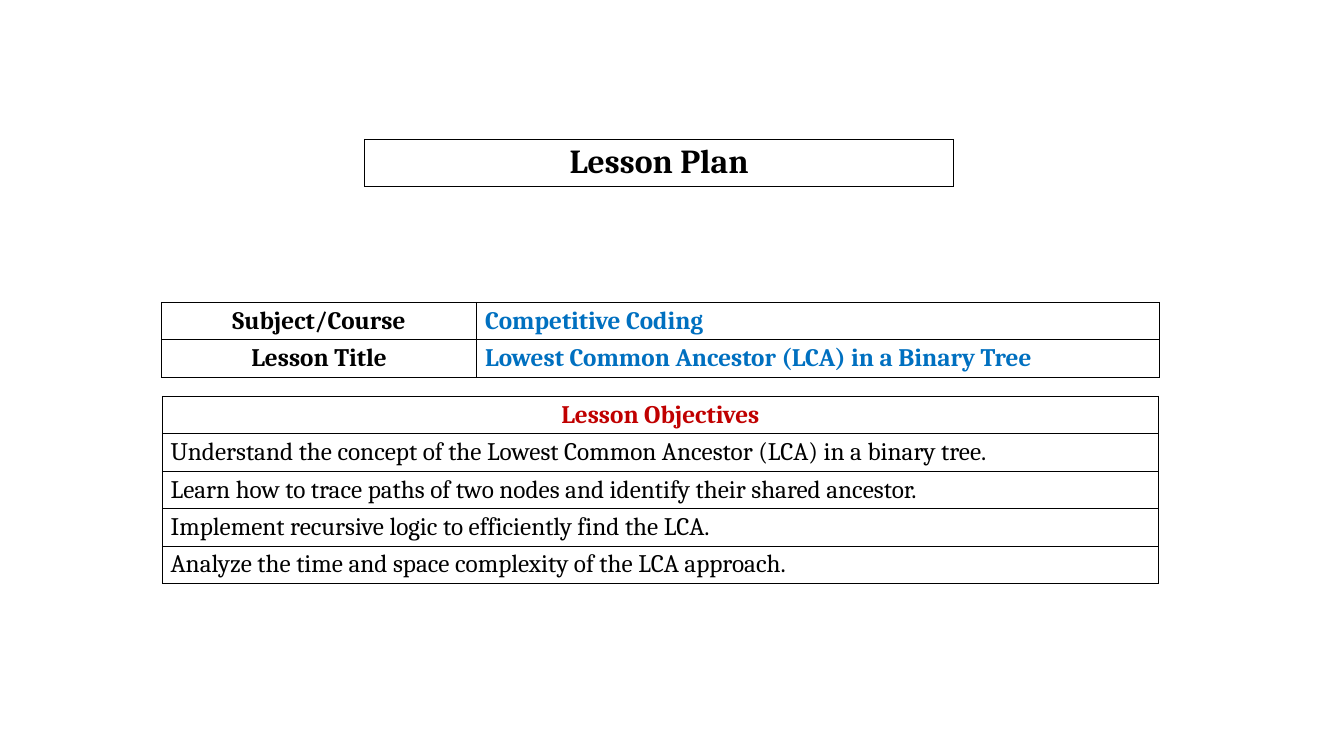
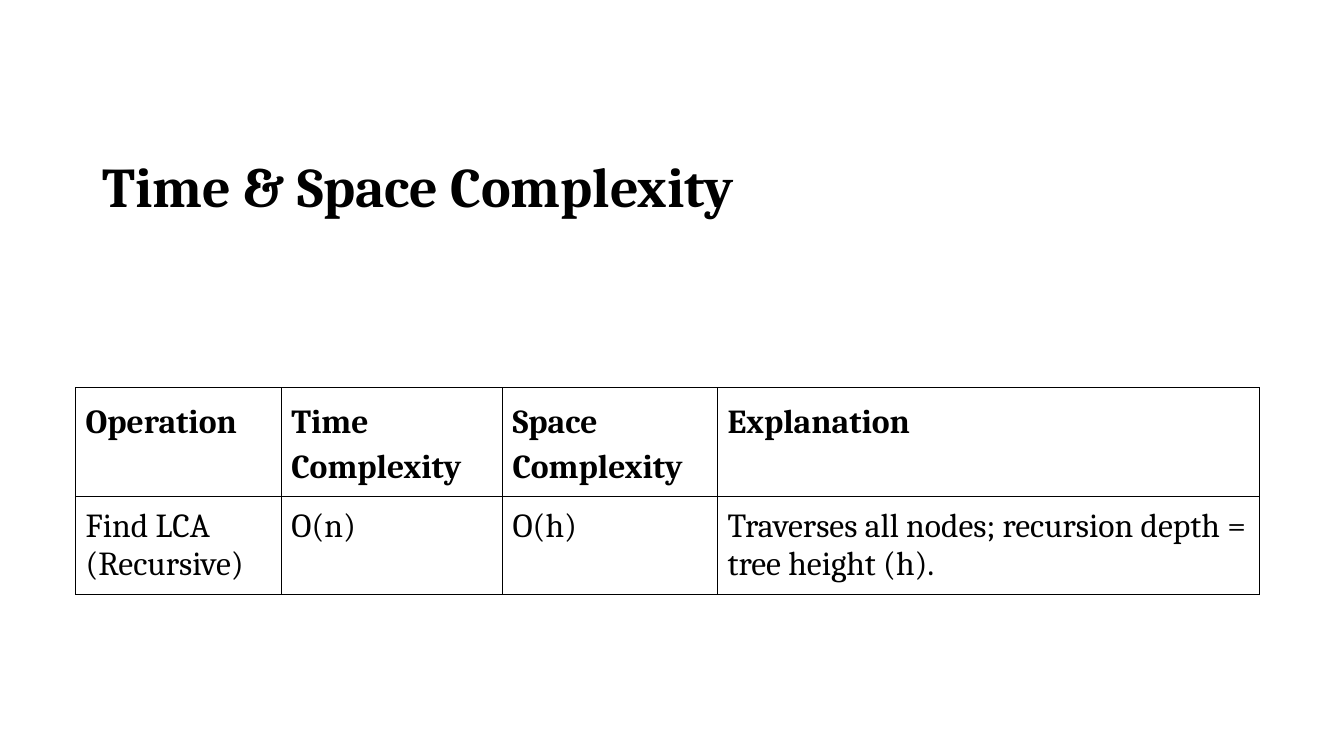
from pptx import Presentation
from pptx.dml.color import RGBColor
from pptx.enum import text as t
from pptx.oxml import parse_xml
from pptx.oxml.ns import nsdecls
from pptx.util import Pt

FONT = "Cambria"
FRAME = 236.22
HUES = {"ink": "000000", "paper": "FFFFFF", "blue": "0070C0", "red": "C00000"}
LEFT, MID = t.PP_ALIGN.LEFT, t.PP_ALIGN.CENTER


def hue(name):
    return RGBColor.from_string(HUES[name])


def write(frame, words, size=18, color="ink", bold=False, align=LEFT, lead=None):
    para = frame.paragraphs[0]
    para.alignment = align
    if lead:
        para.line_spacing = lead
    run = para.add_run()
    run.text = words
    font = run.font
    font.name, font.size, font.bold = FONT, Pt(size), bold
    font.color.rgb = hue(color)


def edge(cell, width=0.75):
    """Draw a thin line on all four sides of a cell."""
    props = cell._tc.get_or_add_tcPr()
    for spot, side in enumerate("LRTB"):
        props.insert(spot, parse_xml(
            f'<a:ln{side} {nsdecls("a")} w="{Pt(width)}"><a:solidFill>'
            f'<a:srgbClr val="{HUES["ink"]}"/></a:solidFill></a:ln{side}>'))


def grid(slide, box, cols, rows, cells, pad=(6, 3), anchor=t.MSO_ANCHOR.MIDDLE,
         fill="paper"):
    """Place a ruled table whose rows grow to fit; cells holds (words, format) pairs."""
    left, top = box
    shape = slide.shapes.add_table(len(rows), len(cols), Pt(left), Pt(top),
                                   Pt(FRAME), Pt(FRAME))
    table = shape.table
    table.first_row = table.horz_banding = False
    for col, width in zip(table.columns, cols):
        col.width = Pt(width)
    for row, height, line in zip(table.rows, rows, cells):
        row.height = Pt(height)
        for cell, (words, style) in zip(row.cells, line):
            cell.margin_left = cell.margin_right = Pt(pad[0])
            cell.margin_top = cell.margin_bottom = Pt(pad[1])
            cell.vertical_anchor = anchor
            if fill:
                cell.fill.solid()
                cell.fill.fore_color.rgb = hue(fill)
            else:
                cell.fill.background()
            edge(cell)
            write(cell.text_frame, words, **style)
    shape.width = shape.height = Pt(FRAME)


def plan(deck):
    slide = deck.slides.add_slide(deck.slide_layouts[6])
    head = dict(bold=True, align=MID)
    value = dict(bold=True, color="blue")
    grid(slide, (260.5, 99.5), [420.5], [28],
         [[("Lesson Plan", dict(head, size=24))]])
    facts = [("Subject/Course", "Competitive Coding"),
             ("Lesson Title", "Lowest Common Ancestor (LCA) in a Binary Tree")]
    grid(slide, (115.2, 216), [225.4, 487.4], [13] * len(facts),
         [[(name, head), (fact, value)] for name, fact in facts])
    goals = ["Understand the concept of the Lowest Common Ancestor (LCA) in a binary tree.",
             "Learn how to trace paths of two nodes and identify their shared ancestor.",
             "Implement recursive logic to efficiently find the LCA.",
             "Analyze the time and space complexity of the LCA approach."]
    grid(slide, (115.9, 283), [711.6], [16.5] * 3 + [25.2] * 2,
         [[("Lesson Objectives", dict(head, color="red"))]]
         + [[(goal, {})] for goal in goals])


def costs(deck):
    slide = deck.slides.add_slide(deck.slide_layouts[5])
    title = slide.shapes.title
    title.left, title.top, title.width, title.height = map(Pt, (66, 83, 828, 104.4))
    title.text_frame.vertical_anchor = t.MSO_ANCHOR.MIDDLE
    write(title.text_frame, "Time & Space Complexity", size=40, bold=True, lead=0.9)
    heads = ["Operation", "Time Complexity", "Space Complexity", "Explanation"]
    facts = ["Find LCA (Recursive)", "O(n)", "O(h)",
             "Traverses all nodes; recursion depth = tree height (h)."]
    grid(slide, (54, 276.9), [147, 158, 153.6, 387.4], [24, 24],
         [[(head, dict(size=24, bold=True, lead=1.15)) for head in heads],
          [(fact, dict(size=24)) for fact in facts]],
         pad=(7.2, 7.2), anchor=t.MSO_ANCHOR.TOP, fill=None)


def main():
    deck = Presentation()
    deck.slide_width, deck.slide_height = Pt(960), Pt(540)
    plan(deck)
    costs(deck)
    deck.save("out.pptx")


if __name__ == "__main__":
    main()
